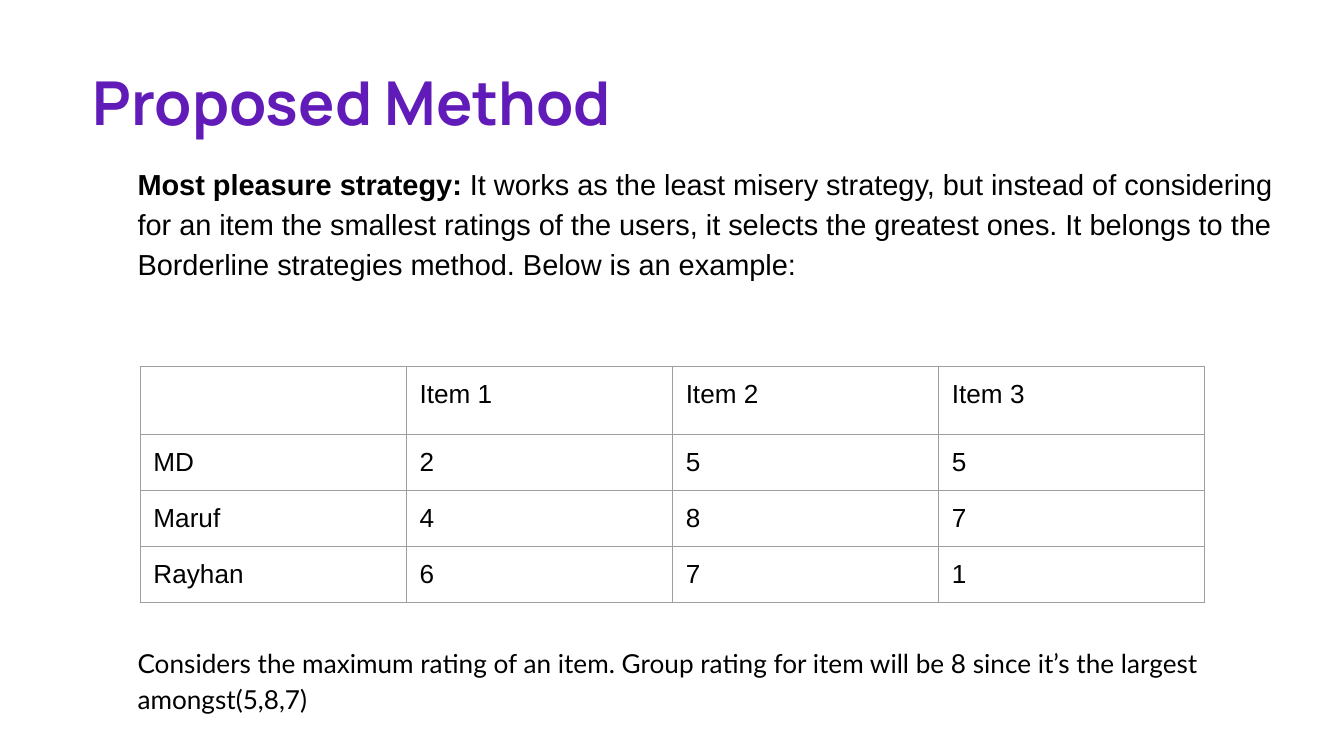
from dataclasses import dataclass

from lxml.etree import SubElement
from pptx import Presentation
from pptx.dml.color import RGBColor as RGB
from pptx.enum.text import MSO_ANCHOR as ANCHOR, MSO_AUTO_SIZE as AUTO, PP_ALIGN as ALIGN
from pptx.oxml.ns import qn
from pptx.util import Cm, Pt


@dataclass
class Theme:
    title_color: str = "611BB8"
    text_color: str = "000000"
    border_color: str = "9E9E9E"
    title_font: str = "Manrope"
    body_font: str = "Arial"
    note_font: str = "Lato"
    title_size: float = 32.4
    body_size: float = 15.5
    small_size: float = 14
    border_width: float = 0.75
    line_spacing: float = 1.15


theme = Theme()
INSET = Cm(0.25)


def add_run(p, text, font, size, color=theme.text_color, bold=False):
    r = p.add_run()
    r.text = text
    r.font.name, r.font.size, r.font.bold = font, Pt(size), bold
    r.font.color.rgb = RGB.from_string(color)


def set_frame(tf, anchor=ANCHOR.TOP):
    tf.word_wrap = True
    tf.auto_size = AUTO.NONE
    tf.vertical_anchor = anchor
    tf.margin_left = tf.margin_right = tf.margin_top = tf.margin_bottom = INSET
    return tf.paragraphs[0]


prs = Presentation()
prs.slide_width, prs.slide_height = Cm(25.4), Cm(14.29)
s = prs.slides.add_slide(prs.slide_layouts[5])

# Title
title = s.shapes.title
title.left, title.top, title.width, title.height = Cm(1.5), Cm(1.02), Cm(20.32), Cm(1.8)
p = set_frame(title.text_frame, ANCHOR.MIDDLE)
p.alignment = ALIGN.LEFT
add_run(p, "Proposed Method", theme.title_font, theme.title_size, theme.title_color, True)

# Explanation above the table and note below it
texts = [
    (2.8, 2.8, theme.body_font, theme.body_size, [
        ("Most pleasure strategy:", True),
        (" It works as the least misery strategy, but instead of considering for an item "
         "the smallest ratings of the users, it selects the greatest ones. It belongs to "
         "the Borderline strategies method. Below is an example:", False)]),
    (11.9, 2.0, theme.note_font, theme.small_size, [
        ("Considers the maximum rating of an item. Group rating for item will be 8 "
         "since it’s the largest amongst(5,8,7)", False)]),
]
for top, height, font, size, runs in texts:
    sp = s.shapes.add_textbox(Cm(2.35), Cm(top), Cm(22.28), Cm(height))
    p = set_frame(sp.text_frame)
    p.line_spacing = theme.line_spacing
    for text, bold in runs:
        add_run(p, text, font, size, bold=bold)

# Ratings table
ratings = [
    ["", "Item 1", "Item 2", "Item 3"],
    ["MD", "2", "5", "5"],
    ["Maruf", "4", "8", "7"],
    ["Rayhan", "6", "7", "1"],
]
header_height, row_height, col_width = Cm(1.22), Cm(1.06), Cm(5.03)
n_rows, n_cols = len(ratings), len(ratings[0])
table = s.shapes.add_table(n_rows, n_cols, Cm(2.65), Cm(6.93), col_width * n_cols,
                           header_height + row_height * (n_rows - 1)).table
table.horz_banding = False
for col in table.columns:
    col.width = col_width
for i, (row, values) in enumerate(zip(table.rows, ratings)):
    row.height = row_height if i else header_height
    for cell, value in zip(row.cells, values):
        cell.margin_left = cell.margin_right = INSET
        cell.margin_top = cell.margin_bottom = INSET
        if value:
            add_run(cell.text_frame.paragraphs[0], value, theme.body_font, theme.small_size)
        # Borders come before the fill in the cell properties
        tc_pr = cell._tc.get_or_add_tcPr()
        for side in ("a:lnL", "a:lnR", "a:lnT", "a:lnB"):
            ln = SubElement(tc_pr, qn(side), w=str(Pt(theme.border_width)))
            fill = SubElement(ln, qn("a:solidFill"))
            SubElement(fill, qn("a:srgbClr"), val=theme.border_color)
        cell.fill.background()

prs.save("out.pptx")
